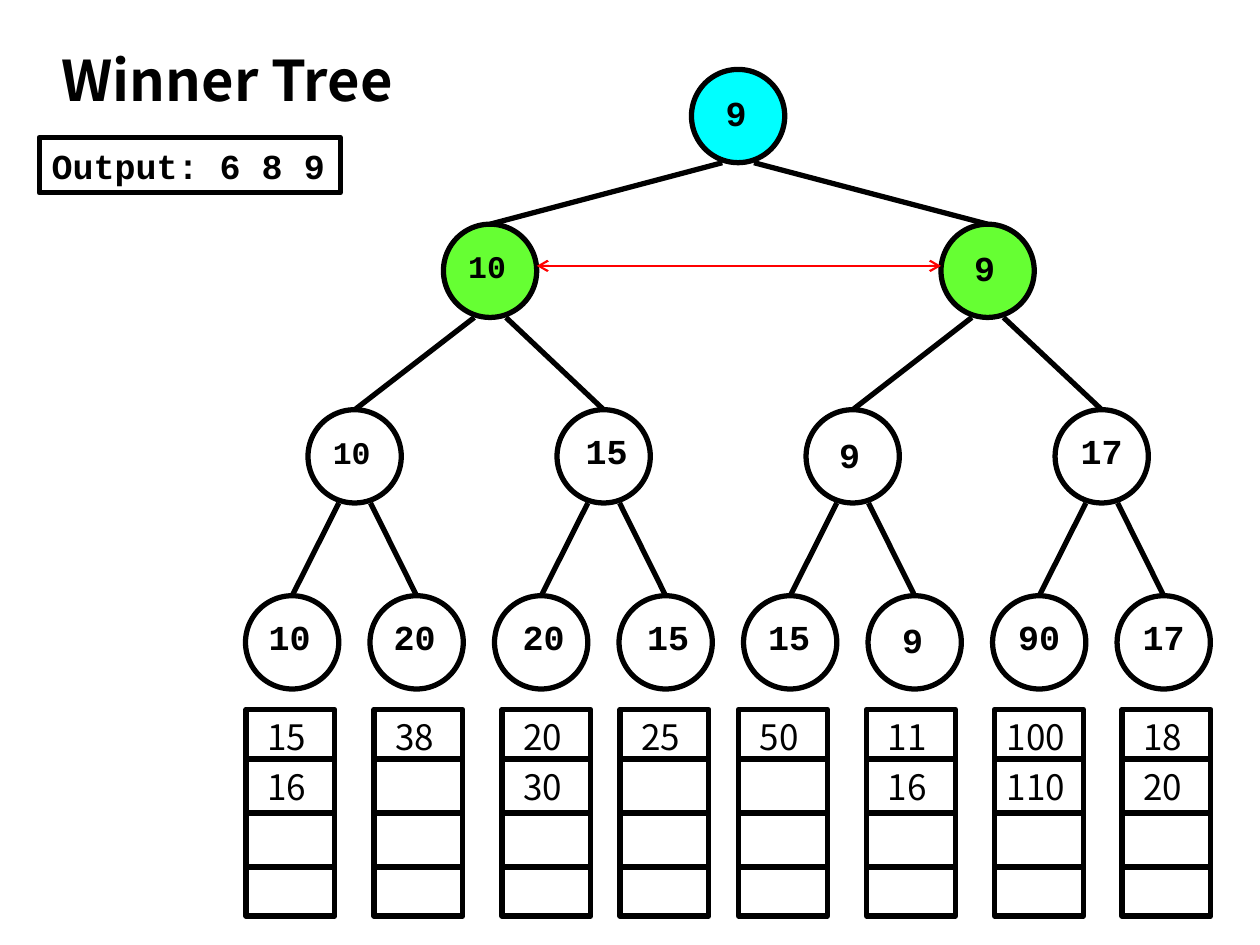
"""Draw a winner tree with its run queues and output."""
from typing import NamedTuple

from pptx import Presentation
from pptx.dml.color import RGBColor
from pptx.enum.shapes import MSO_CONNECTOR, MSO_SHAPE
from pptx.enum.text import MSO_ANCHOR, MSO_AUTO_SIZE, PP_ALIGN
from pptx.oxml.ns import qn
from pptx.util import Cm, Pt
from lxml import etree

LINE = MSO_CONNECTOR.STRAIGHT
OVAL, RECT = MSO_SHAPE.OVAL, MSO_SHAPE.RECTANGLE
LEFT, MID = PP_ALIGN.LEFT, PP_ALIGN.CENTER
MONO, SANS = "Courier New", "Noto Sans CJK KR"
INK, RED, LIME, AQUA = "000000", "FF0000", "66FF33", "00FFFF"
SIZE, FORK = 1.88, 0.32
TOP, WIDE, TALL = 14.3, 1.79, 4.17
RULES = (15.3, 16.39, 17.48)


class Node(NamedTuple):
    text: str
    shift: float = -0.05
    drop: float = 0.28
    size: int = 20


class Level(NamedTuple):
    first: float
    step: float
    top: float
    fill: str
    nodes: tuple


class Queue(NamedTuple):
    left: float
    items: tuple


LEVELS = (
    Level(14.88, 0, 1.4, AQUA, (Node("9", -0.04, 0.33),)),
    Level(9.88, 10.03, 4.52, LIME,
          (Node("10", -0.06, 0.33, 18), Node("9", -0.06, 0.33))),
    Level(7.15, 5.02, 8.26, "",
          (Node("10", -0.06, 0.35, 18), Node("15", 0.06),
           Node("9", -0.06, 0.35), Node("17", 0))),
    Level(5.89, 2.51, 12.01, "",
          (Node("10"), Node("20", -0.04), Node("20", 0.05), Node("15", 0.05),
           Node("15", -0.02), Node("9", -0.04, 0.33), Node("90", 0),
           Node("17", 0))),
)
QUEUES = (
    Queue(4.96, ("15", "16")), Queue(7.54, ("38",)),
    Queue(10.12, ("20", "30")), Queue(12.5, ("25",)),
    Queue(14.89, ("50",)), Queue(17.47, ("11", "16")),
    Queue(20.05, ("100", "110")), Queue(22.62, ("18", "20")),
)


def paint(code: str) -> RGBColor:
    """Turn a hex string into a colour."""
    return RGBColor.from_string(code)


def write(frame, text: str, size: int, font: str, bold: bool, align) -> None:
    """Write one run into a text frame."""
    para = frame.paragraphs[0]
    para.alignment = align
    run = para.add_run()
    run.text = text
    run.font.size, run.font.name, run.font.bold = Pt(size), font, bold
    run.font.color.rgb = paint(INK)


def shape(home, kind, left: float, top: float, wide: float, tall: float, fill: str = ""):
    """Add an outlined shape."""
    item = home.add_shape(kind, Cm(left), Cm(top), Cm(wide), Cm(tall))
    item.shadow.inherit = False
    if fill:
        item.fill.solid()
        item.fill.fore_color.rgb = paint(fill)
    else:
        item.fill.background()
    item.line.color.rgb, item.line.width = paint(INK), Pt(3)
    return item


def label(home, left: float, top: float, wide: float, text: str, size: int,
          font: str, bold: bool, align) -> None:
    """Add a text box."""
    frame = home.add_textbox(Cm(left), Cm(top), Cm(wide), Cm(1.11)).text_frame
    frame.word_wrap = True
    write(frame, text, size, font, bold, align)


def line(home, x1: float, y1: float, x2: float, y2: float, hue: str = INK,
         width: float = 3):
    """Add a straight line."""
    item = home.add_connector(LINE, Cm(x1), Cm(y1), Cm(x2), Cm(y2))
    item.line.color.rgb, item.line.width = paint(hue), Pt(width)
    etree.SubElement(item._element.spPr, qn("a:effectLst"))
    return item


def disc(home, mid: float, level: Level, node: Node):
    """Add a tree node with its key."""
    group = home.add_group_shape().shapes
    oval = shape(group, OVAL, mid - SIZE / 2, level.top, SIZE, SIZE, level.fill)
    label(group, mid + node.shift - 0.9, level.top + node.drop, 1.8,
          node.text, node.size, MONO, True, MID)
    return oval


def tree(home) -> None:
    """Draw all nodes, then join each to its parent."""
    rows = [[disc(home, level.first + i * level.step, level, node)
             for i, node in enumerate(level.nodes)] for level in LEVELS]
    for up, low, kids in zip(LEVELS, LEVELS[1:], rows[1:]):
        for i, kid in enumerate(kids):
            side = FORK if i % 2 else -FORK
            edge = line(home, low.first + i * low.step, low.top,
                        up.first + i // 2 * up.step + side, up.top + SIZE)
            edge.begin_connect(kid, 0)


def stack(home, queue: Queue) -> None:
    """Draw a queue of four cells."""
    group = home.add_group_shape().shapes
    left = queue.left
    shape(group, RECT, left, TOP, WIDE, TALL)
    for y in RULES:
        line(group, left, y, left + WIDE, y)
    for text, y in zip(queue.items, (TOP, RULES[0])):
        pad = 0 if len(text) > 2 else 0.18
        label(group, left + pad, y, 1.8 - 2 * pad, text, 20, SANS, False, LEFT)


def main() -> None:
    """Build and save the slide."""
    deck = Presentation()
    deck.slide_width, deck.slide_height = Cm(25.4), Cm(19.05)
    slide = deck.slides.add_slide(deck.slide_layouts[5])
    home = slide.shapes
    title = home.title
    title.left, title.top, title.width, title.height = (
        Cm(0.99), Cm(0.79), Cm(8.53), Cm(1.63))
    frame = title.text_frame
    frame.auto_size, frame.vertical_anchor = MSO_AUTO_SIZE.NONE, MSO_ANCHOR.MIDDLE
    write(frame, "Winner Tree", 32, SANS, True, LEFT)
    tree(home)
    for queue in QUEUES:
        stack(home, queue)
    frame = shape(home, RECT, 0.79, 2.77, 6.07, 1.12).text_frame
    frame.word_wrap = False
    write(frame, "Output: 6 8 9", 20, MONO, True, LEFT)
    match = line(home, 10.82, 5.36, 18.97, 5.36, RED, 1.25)
    for end in ("a:headEnd", "a:tailEnd"):
        etree.SubElement(match.line._ln, qn(end), type="arrow")
    deck.save("out.pptx")


if __name__ == "__main__":
    main()
